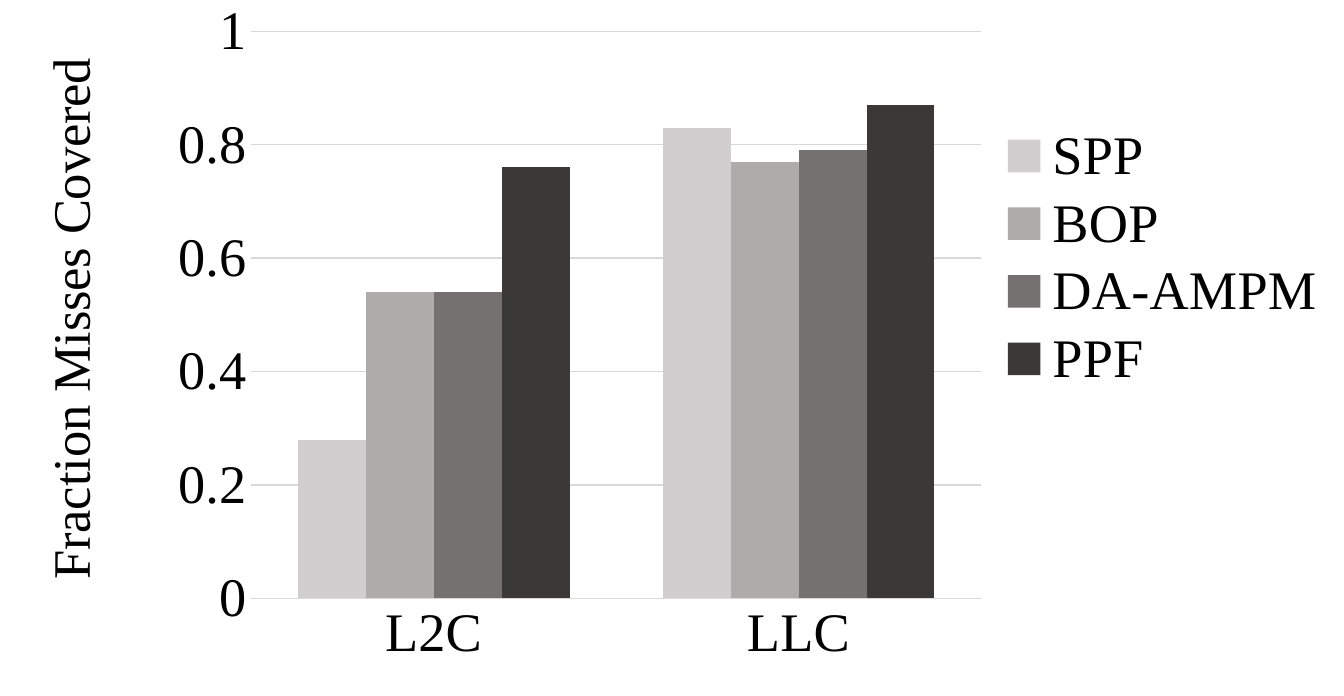
from dataclasses import dataclass

from lxml import etree
from pptx import Presentation
from pptx.chart.data import CategoryChartData
from pptx.dml.color import RGBColor
from pptx.enum.chart import XL_CHART_TYPE, XL_LEGEND_POSITION, XL_TICK_MARK
from pptx.oxml import parse_xml
from pptx.oxml.ns import nsdecls
from pptx.text.text import Font
from pptx.util import Length, Pt

CLUSTERED = XL_CHART_TYPE.COLUMN_CLUSTERED
LEGEND_RIGHT = XL_LEGEND_POSITION.RIGHT
NO_TICK = XL_TICK_MARK.NONE

WIDTH, HEIGHT = Pt(792), Pt(410.4)
FONT_NAME = "Times New Roman"
FONT_SIZE = Pt(32)
AXIS_TITLE_SIZE = Pt(31)
COLORS = {
    "text": "000000",
    "rule": "D9D9D9",
    "SPP": "D0CECE",
    "BOP": "AFABAB",
    "DA-AMPM": "767171",
    "PPF": "3B3838",
}


@dataclass
class Prefetcher:
    name: str
    coverage: tuple[float, float]


CACHES = ("L2C", "LLC")
PREFETCHERS = (
    Prefetcher("SPP", (0.28, 0.83)),
    Prefetcher("BOP", (0.54, 0.77)),
    Prefetcher("DA-AMPM", (0.54, 0.79)),
    Prefetcher("PPF", (0.76, 0.87)),
)


def color(key: str) -> RGBColor:
    return RGBColor.from_string(COLORS[key])


def style_font(font: Font, size: Length = FONT_SIZE) -> None:
    font.name = FONT_NAME
    font.size = size
    font.bold = False
    font.color.rgb = color("text")


def style_rule(line) -> None:
    line.color.rgb = color("rule")
    line.width = Pt(0.75)


def layout_xml(inner: bool = False, **fractions: float) -> etree._Element:
    target = '<c:layoutTarget val="inner"/>' if inner else ""
    modes = "".join(f'<c:{k}Mode val="edge"/>' for k in fractions if k in "xy")
    values = "".join(f'<c:{k} val="{v}"/>' for k, v in fractions.items())
    return parse_xml(
        f'<c:layout {nsdecls("c")}><c:manualLayout>{target}{modes}{values}'
        "</c:manualLayout></c:layout>"
    )


def place(parent: etree._Element, after: str, layout: etree._Element) -> None:
    for old in parent.xpath("c:layout"):
        parent.remove(old)
    if after:
        parent.xpath(f"c:{after}")[0].addnext(layout)
    else:
        parent.insert(0, layout)


def add_coverage_chart(s) -> None:
    data = CategoryChartData()
    data.categories = CACHES
    for prefetcher in PREFETCHERS:
        data.add_series(prefetcher.name, prefetcher.coverage)
    chart = s.shapes.add_chart(CLUSTERED, 0, 0, WIDTH, HEIGHT, data).chart
    chart.has_title = False
    style_font(chart.font)

    plot = chart.plots[0]
    plot.gap_width = 137
    plot.overlap = 0
    plot.vary_by_categories = False
    for series in plot.series:
        series.format.fill.solid()
        series.format.fill.fore_color.rgb = color(series.name)

    cat_axis, val_axis = chart.category_axis, chart.value_axis
    for axis in (cat_axis, val_axis):
        axis.major_tick_mark = NO_TICK
        axis.minor_tick_mark = NO_TICK
        style_font(axis.tick_labels.font)
    style_rule(cat_axis.format.line)

    val_axis.minimum_scale, val_axis.maximum_scale = 0, 1
    val_axis.major_unit = 0.2
    val_axis.format.line.fill.background()
    val_axis.has_major_gridlines = True
    style_rule(val_axis.major_gridlines.format.line)
    val_axis.tick_labels.number_format = "General"
    val_axis.tick_labels.number_format_is_linked = False

    title = val_axis.axis_title
    tf = title.text_frame
    r = tf.paragraphs[0].add_run()
    r.text = "Fraction Misses Covered"
    style_font(r.font, AXIS_TITLE_SIZE)
    tf.word_wrap = False
    body = tf._txBody.bodyPr
    body.set("rot", "-5400000")
    body.set("vert", "horz")
    place(title._element, "tx", layout_xml(x=0.02, y=0.07))

    chart.has_legend = True
    legend = chart.legend
    legend.position = LEGEND_RIGHT
    legend.include_in_layout = False
    style_font(legend.font)
    place(legend._element, "legendPos", layout_xml(x=0.74, y=0.17, w=0.25, h=0.4))
    place(
        plot._element.getparent(),
        "",
        layout_xml(inner=True, x=0.187, y=0.045, w=0.543, h=0.815),
    )


def main() -> None:
    prs = Presentation()
    prs.slide_width, prs.slide_height = WIDTH, HEIGHT
    s = prs.slides.add_slide(prs.slide_layouts[6])
    add_coverage_chart(s)
    prs.save("out.pptx")


if __name__ == "__main__":
    main()
